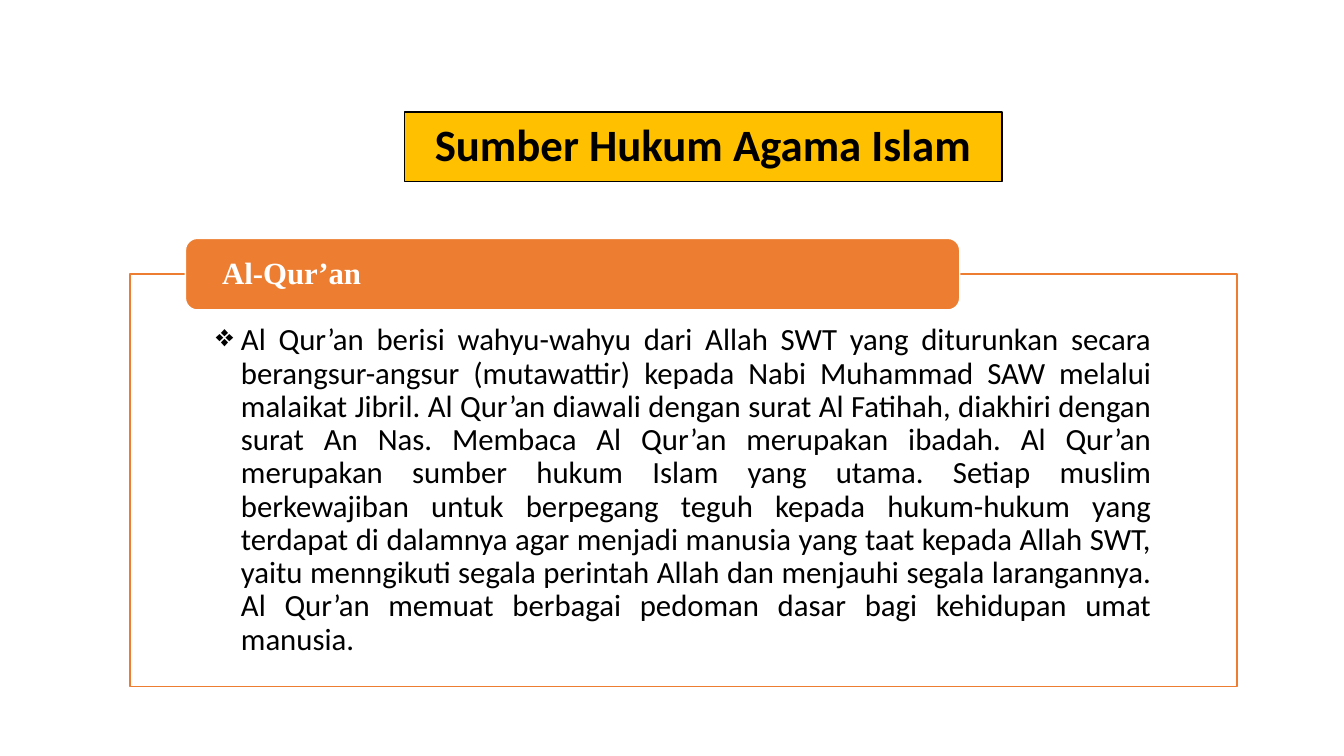
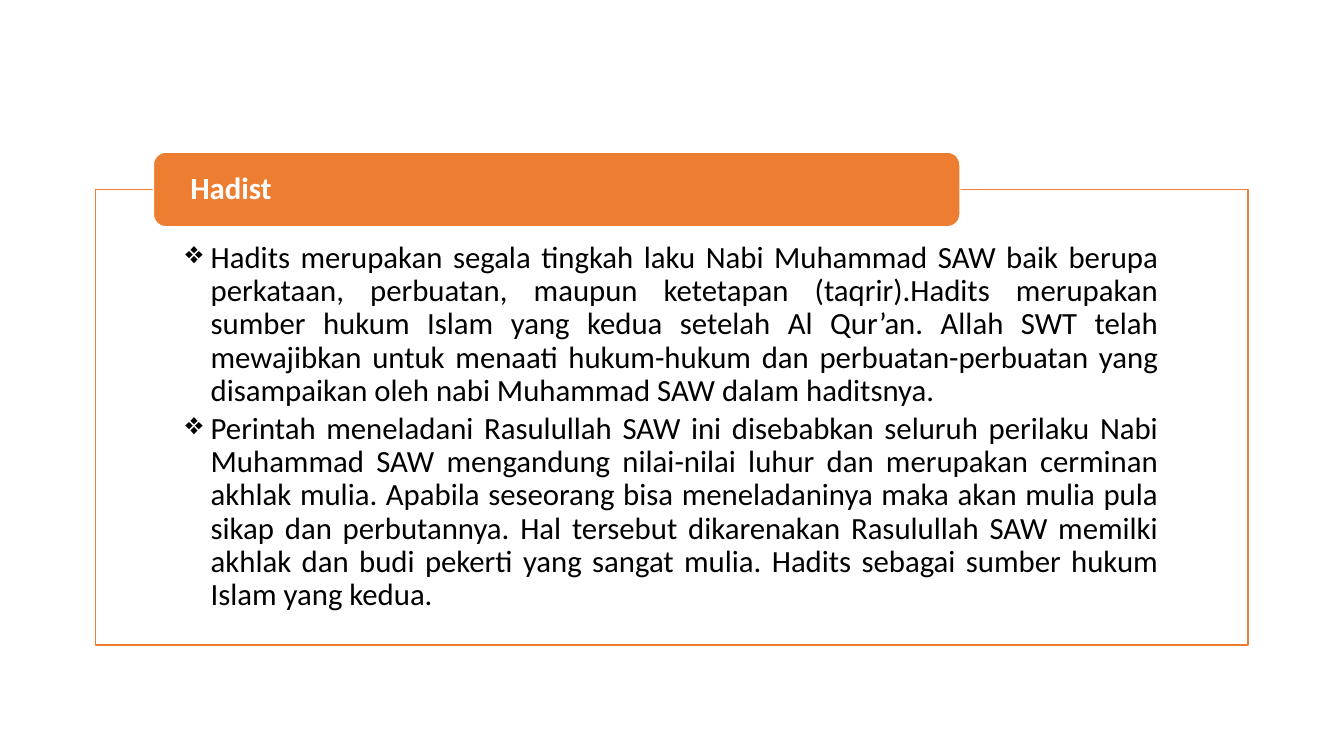
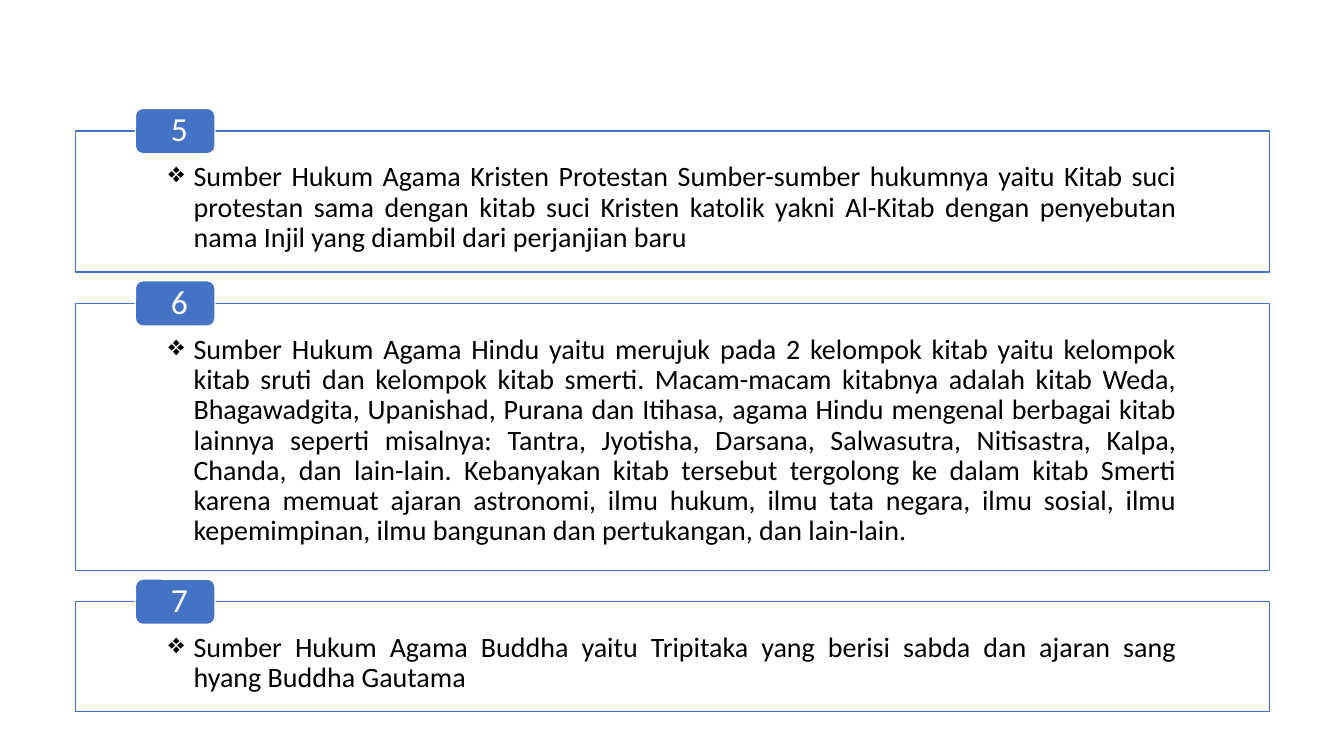
import lxml.etree
import pptx
import pptx.dml.color
import pptx.enum.shapes
import pptx.enum.text
import pptx.oxml.ns
import pptx.util

Inches, Pt = pptx.util.Inches, pptx.util.Pt
SHAPE = pptx.enum.shapes.MSO_SHAPE
ALIGN = pptx.enum.text.PP_ALIGN
ANCHOR = pptx.enum.text.MSO_ANCHOR

# Content
TITLE = "Sumber Hukum Agama Islam"
QURAN = ["Al Qur’an berisi wahyu-wahyu dari Allah SWT yang diturunkan secara berangsur-angsur (mutawattir) kepada Nabi Muhammad SAW melalui malaikat Jibril. Al Qur’an diawali dengan surat Al Fatihah, diakhiri dengan surat An Nas. Membaca Al Qur’an merupakan ibadah. Al Qur’an merupakan sumber hukum Islam yang utama. Setiap muslim berkewajiban untuk berpegang teguh kepada hukum-hukum yang terdapat di dalamnya agar menjadi manusia yang taat kepada Allah SWT, yaitu menngikuti segala perintah Allah dan menjauhi segala larangannya. Al Qur’an memuat berbagai pedoman dasar bagi kehidupan umat manusia."]
HADITH = [
    "Hadits merupakan segala tingkah laku Nabi Muhammad SAW baik berupa perkataan, perbuatan, maupun ketetapan (taqrir).Hadits merupakan sumber hukum Islam yang kedua setelah Al Qur’an. Allah SWT telah mewajibkan untuk menaati hukum-hukum dan perbuatan-perbuatan yang disampaikan oleh nabi Muhammad SAW dalam haditsnya.",
    "Perintah meneladani Rasulullah SAW ini disebabkan seluruh perilaku Nabi Muhammad SAW mengandung nilai-nilai luhur dan merupakan cerminan akhlak mulia. Apabila seseorang bisa meneladaninya maka akan mulia pula sikap dan perbutannya. Hal tersebut dikarenakan Rasulullah SAW memilki akhlak dan budi pekerti yang sangat mulia. Hadits sebagai sumber hukum Islam yang kedua.",
]
PROTESTANT = ["Sumber Hukum Agama Kristen Protestan Sumber-sumber hukumnya yaitu Kitab suci protestan sama dengan kitab suci Kristen katolik yakni Al-Kitab dengan penyebutan nama Injil yang diambil dari perjanjian baru"]
HINDU = ["Sumber Hukum Agama Hindu yaitu merujuk pada 2 kelompok kitab yaitu kelompok kitab sruti dan kelompok kitab smerti. Macam-macam kitabnya adalah kitab Weda, Bhagawadgita, Upanishad, Purana dan Itihasa, agama Hindu mengenal berbagai kitab lainnya seperti misalnya: Tantra, Jyotisha, Darsana, Salwasutra, Nitisastra, Kalpa, Chanda, dan lain-lain. Kebanyakan kitab tersebut tergolong ke dalam kitab Smerti karena memuat ajaran astronomi, ilmu hukum, ilmu tata negara, ilmu sosial, ilmu kepemimpinan, ilmu bangunan dan pertukangan, dan lain-lain."]
BUDDHA = ["Sumber Hukum Agama Buddha yaitu Tripitaka yang berisi sabda dan ajaran sang hyang Buddha Gautama"]

# Each page: panel column, tab size, text styles, and (tab label, panel height, paragraphs)
PAGES = [
    dict(title=TITLE, left=1.29, top=2.72, width=10.98, side=0.85, tab=(7.68, 0.71),
         color="orange", size=22, label=dict(size=22, bold=True, font="Times New Roman"),
         panels=[("Al-Qur’an", 4.09, QURAN)]),
    dict(left=0.95, top=1.88, width=11.43, side=0.89, tab=(8, 0.74),
         color="orange", size=22, label=dict(size=22, bold=True),
         panels=[("Hadist", 4.52, HADITH)]),
    dict(left=0.75, top=1.3, width=11.84, side=0.92, tab=(0.79, 0.45),
         color="blue", size=20, label=dict(size=24),
         panels=[("5", 1.4, PROTESTANT), ("6", 2.65, HINDU), ("7", 1.09, BUDDHA)]),
]

# Shared style
COLORS = {"black": "000000", "white": "FFFFFF", "gold": "FFC000",
          "orange": "ED7D31", "blue": "4472C4"}
PANEL_GAP = 0.31
TAB_SHIFT = 0.05   # share of the panel width
TAB_INSET = 0.33


def rgb(name):
    return pptx.dml.color.RGBColor.from_string(COLORS[name])


def paint(shape, fill, line):
    shape.fill.solid()
    shape.fill.fore_color.rgb = rgb(fill)
    shape.line.color.rgb = rgb(line)
    shape.line.width = Pt(1)


def add_bullet(para):
    properties = para._p.get_or_add_pPr()
    properties.set("marL", str(Inches(0.25)))
    properties.set("indent", str(-Inches(0.25)))
    bullet = lxml.etree.SubElement(properties, pptx.oxml.ns.qn("a:buChar"))
    bullet.set("char", "❖")


def write(shape, texts, size, color="black", font="Calibri", bold=False,
          align=ALIGN.LEFT, anchor=ANCHOR.MIDDLE, insets=(0.1, 0.05, 0.1, 0.05),
          bullets=False, after=0):
    frame = shape.text_frame
    frame.word_wrap = True
    frame.auto_size = pptx.enum.text.MSO_AUTO_SIZE.NONE
    frame.vertical_anchor = anchor
    (frame.margin_left, frame.margin_top,
     frame.margin_right, frame.margin_bottom) = map(Inches, insets)
    for index, text in enumerate(texts):
        para = frame.add_paragraph() if index else frame.paragraphs[0]
        if bullets:
            add_bullet(para)
        para.alignment = align
        para.line_spacing = 0.9
        para.space_before = Pt(0)
        para.space_after = Pt(after)
        span = para.add_run()
        span.text = text
        span.font.name = font
        span.font.size = Pt(size)
        span.font.bold = bold
        span.font.color.rgb = rgb(color)


def add_box(page, kind, left, top, width, height, fill, line):
    box = page.shapes.add_shape(kind, *map(Inches, (left, top, width, height)))
    box.shadow.inherit = False
    paint(box, fill, line)
    return box


def add_title(page, text):
    title = page.shapes.title
    title.left, title.top, title.width, title.height = map(Inches, (4.01, 1.11, 5.93, 0.69))
    paint(title, "gold", "black")
    write(title, [text], size=32, bold=True, align=ALIGN.CENTER)


def add_panels(page, content):
    left, top, width, side = (content[key] for key in ("left", "top", "width", "side"))
    tab_width, tab_height = content["tab"]
    for label, height, texts in content["panels"]:
        panel = add_box(page, SHAPE.RECTANGLE, left, top, width, height,
                        "white", content["color"])
        write(panel, texts, size=content["size"], align=ALIGN.JUSTIFY, anchor=ANCHOR.TOP,
              insets=(side, 0.7 * tab_height, side, 0.16), bullets=True, after=3.5)
        # The tab straddles the top edge of its panel
        tab = add_box(page, SHAPE.ROUNDED_RECTANGLE, left + TAB_SHIFT * width,
                      top - tab_height / 2, tab_width, tab_height,
                      content["color"], "white")
        write(tab, [label], color="white", insets=(TAB_INSET, 0, 0.1, 0), **content["label"])
        top += height + PANEL_GAP


def main():
    deck = pptx.Presentation()
    deck.slide_width, deck.slide_height = Inches(13.33), Inches(7.5)
    title_only, blank = deck.slide_layouts[5], deck.slide_layouts[6]
    for content in PAGES:
        title = content.get("title")
        page = deck.slides.add_slide(title_only if title else blank)
        if title:
            add_title(page, title)
        add_panels(page, content)
    deck.save("out.pptx")


if __name__ == "__main__":
    main()
